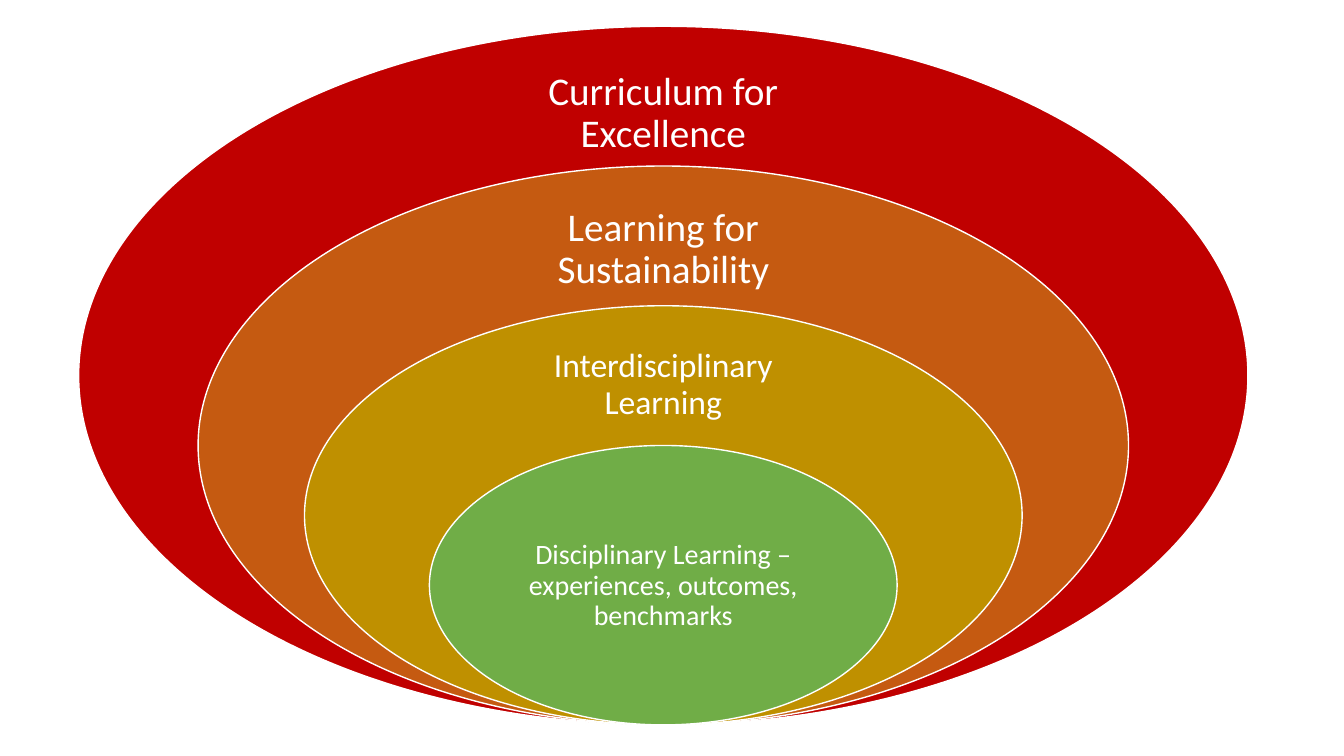
from dataclasses import dataclass

from pptx import Presentation
from pptx.dml.color import RGBColor
from pptx.enum import shapes, text
from pptx.util import Pt


@dataclass(frozen=True)
class Theme:
    font: str = "Calibri"
    white: str = "FFFFFF"
    red: str = "C00000"
    orange: str = "C55A11"
    gold: str = "BF9000"
    green: str = "70AD47"
    large: int = 28
    medium: int = 24
    small: int = 20


@dataclass(frozen=True)
class Ring:
    label: str
    fill: str
    size: int
    width: float
    top: float
    wide: float
    high: float


THEME = Theme()
CENTRE = 473.8
BOTTOM = 517.8
HEIGHT = 499
INSET = 0.57

RINGS = [
    Ring("Curriculum for Excellence", THEME.red, THEME.large, 835.2, 43.9, 233.3, 74.9),
    Ring("Learning for Sustainability", THEME.orange, THEME.large, 664.6, 142.6, 232.6, 72),
    Ring("Interdisciplinary Learning", THEME.gold, THEME.medium, 512.6, 241.2, 239, 67.7),
    Ring("Disciplinary Learning – experiences, outcomes, benchmarks",
         THEME.green, THEME.small, 334.1, 368.6, 236.2, 100.1),
]


def draw_oval(slide, ring: Ring, height: float) -> None:
    oval = slide.shapes.add_shape(
        shapes.MSO_SHAPE.OVAL, Pt(CENTRE - ring.width / 2), Pt(BOTTOM - height),
        Pt(ring.width), Pt(height))
    oval.shadow.inherit = False
    oval.fill.solid()
    oval.fill.fore_color.rgb = RGBColor.from_string(ring.fill)
    oval.line.color.rgb = RGBColor.from_string(THEME.white)
    oval.line.width = Pt(1)


def draw_label(slide, ring: Ring) -> None:
    box = slide.shapes.add_textbox(
        Pt(CENTRE - ring.wide / 2), Pt(ring.top), Pt(ring.wide), Pt(ring.high))
    frame = box.text_frame
    frame.word_wrap = True
    frame.vertical_anchor = text.MSO_ANCHOR.MIDDLE
    inset = Pt(ring.size * INSET)
    frame.margin_left = frame.margin_right = inset
    frame.margin_top = frame.margin_bottom = inset
    line = frame.paragraphs[0]
    line.text = ring.label
    line.alignment = text.PP_ALIGN.CENTER
    line.line_spacing = 0.9
    line.font.name = THEME.font
    line.font.size = Pt(ring.size)
    line.font.color.rgb = RGBColor.from_string(THEME.white)


def main() -> None:
    deck = Presentation()
    deck.slide_width, deck.slide_height = Pt(960), Pt(540)
    slide = deck.slides.add_slide(deck.slide_layouts[6])
    for level, ring in enumerate(RINGS):
        draw_oval(slide, ring, HEIGHT * (5 - level) / 5)
        draw_label(slide, ring)
    deck.save("out.pptx")


if __name__ == "__main__":
    main()
